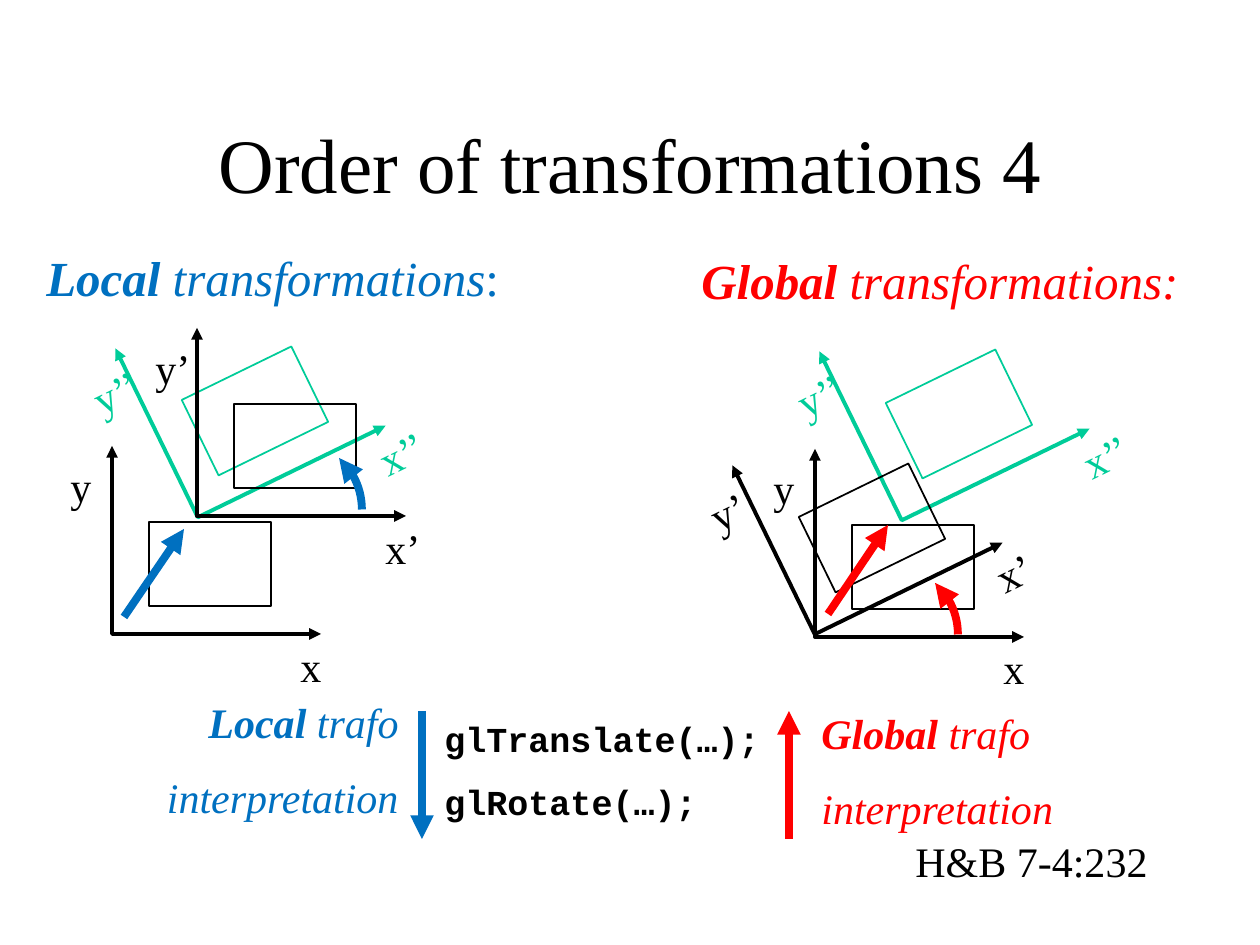
import math
from lxml import etree
from pptx import Presentation
from pptx import util as u
from pptx.dml.color import RGBColor
from pptx.enum import shapes, text
from pptx.oxml.ns import qn

PX = 7257
SERIF = "Times New Roman"
BLACK, GREEN, BLUE, RED = "000000", "00CC99", "0070C0", "FF0000"
LEFT, RIGHT = text.PP_ALIGN.LEFT, text.PP_ALIGN.RIGHT

deck = Presentation()
deck.slide_width, deck.slide_height = u.Inches(10), u.Inches(7.5)
slide = deck.slides.add_slide(deck.slide_layouts[5])
canvas = slide.shapes


def outline(shape, color, width, ends=()):
    shape.line.color.rgb = RGBColor.from_string(color)
    shape.line.width = u.Pt(width)
    for end in ends:
        etree.SubElement(shape.line._get_or_add_ln(), qn(f"a:{end}End"), type="triangle")
    etree.SubElement(shape._element.spPr, qn("a:effectLst"))


def write(box, lines, color, size, font=SERIF, italic=False, align=LEFT, gap=0, wrap=True):
    area = canvas.add_textbox(*(round(v * PX) for v in box))
    frame = area.text_frame
    frame.word_wrap = wrap
    for i, runs in enumerate(lines):
        line = frame.paragraphs[0] if i == 0 else frame.add_paragraph()
        line.alignment = align
        if i:
            line.space_before = u.Pt(gap)
        line.font.name, line.font.size = font, u.Pt(size)
        line.font.italic = italic
        line.font.color.rgb = RGBColor.from_string(color)
        for words, style in runs:
            run = line.add_run()
            run.text = words
            if "b" in style:
                run.font.bold = True
            if "u" in style:
                run.font.italic = False
    return area


title = canvas.title
title.left, title.top, title.width, title.height = (v * PX for v in (95, 84, 1071, 158))
title.text_frame.text = "Order of transformations 4"
title.text_frame.vertical_anchor = text.MSO_ANCHOR.MIDDLE
heading = title.text_frame.paragraphs[0]
heading.alignment = text.PP_ALIGN.CENTER
heading.font.name, heading.font.size = SERIF, u.Pt(44)
heading.font.color.rgb = RGBColor.from_string(BLACK)

AXIS_X, AXIS_Y = 209, 188
BLOCK_W, BLOCK_H = 122, 84
LABEL_H = 63
label_widths = {"": 47, "’": 60, "’’": 74}

coordinate_systems = [
    (112, 634, 0, "", BLACK),
    (198, 517, -26, "’’", GREEN),
    (197, 516, 0, "’", BLACK),
    (815, 637, 0, "", BLACK),
    (902, 520, -26, "’’", GREEN),
    (815, 634, -26, "’", BLACK),
]
for origin_x, origin_y, angle, primes, color in coordinate_systems:
    cos, sin = math.cos(math.radians(angle)), math.sin(math.radians(angle))
    label_w = label_widths[primes]
    parts = [
        ("axes", AXIS_X / 2, -AXIS_Y / 2, AXIS_X, AXIS_Y),
        ("block", 98, -70, BLOCK_W, BLOCK_H),
        ("x", 176 + label_w / 2, 31, label_w, LABEL_H),
        ("y", -54 + label_w / 2, -149, label_w, LABEL_H),
    ]
    for part, dx, dy, w, h in parts:
        left = round(origin_x + dx * cos - dy * sin - w / 2)
        top = round(origin_y + dx * sin + dy * cos - h / 2)
        if part == "axes":
            pen = canvas.build_freeform(left, top, PX)
            pen.add_line_segments([(left, top + h), (left + w, top + h)], close=False)
            drawn = pen.convert_to_shape()
            drawn.fill.background()
            outline(drawn, color, 2.25, ("head", "tail"))
        elif part == "block":
            drawn = canvas.add_shape(
                shapes.MSO_SHAPE.RECTANGLE, left * PX, top * PX, w * PX, h * PX)
            drawn.fill.background()
            outline(drawn, color, 1)
        else:
            drawn = write((left, top, w, h), [[(part + primes, "")]], color, 24, wrap=False)
        drawn.rotation = angle

arrows = [
    (124, 617, 184, 529, BLUE),
    (422, 711, 422, 839, BLUE),
    (828, 614, 888, 525, RED),
    (789, 839, 789, 711, RED),
]
for x1, y1, x2, y2, color in arrows:
    arrow = canvas.add_connector(
        shapes.MSO_CONNECTOR.STRAIGHT, x1 * PX, y1 * PX, x2 * PX, y2 * PX)
    outline(arrow, color, 4.5, ("tail",))

for left, top, color in [(223, 440, BLUE), (819, 565, RED)]:
    turn = canvas.add_shape(shapes.MSO_SHAPE.ARC, left * PX, top * PX, 139 * PX, 139 * PX)
    turn.adjustments[0] = 187.316
    turn.adjustments[1] = 0
    turn.fill.background()
    outline(turn, color, 4.5, ("head",))

write((34, 241, 566, 72),
      [[("Local", "b"), (" transformations", ""), (":", "u")]], BLUE, 28, italic=True)
write((689, 244, 525, 72),
      [[("Global", "b"), (" transformations:", "")]], RED, 28, italic=True)

readings = [
    ("Local", (24, 690, 387, 140), BLUE, RIGHT),
    ("Global", (809, 701, 387, 140), RED, LEFT),
]
for scope, box, color, align in readings:
    write(box, [[(scope, "b"), (" trafo", "")], [("interpretation", "")]],
          color, 24, italic=True, align=align, gap=14)

write((432, 711, 348, 118), [[("glTranslate(…);", "b")], [("glRotate(…);", "b")]],
      BLACK, 20, font="Courier New", gap=12)
write((903, 829, 260, 64), [[("H&B 7-4:232", "")]], BLACK, 24, wrap=False)

deck.save("out.pptx")
